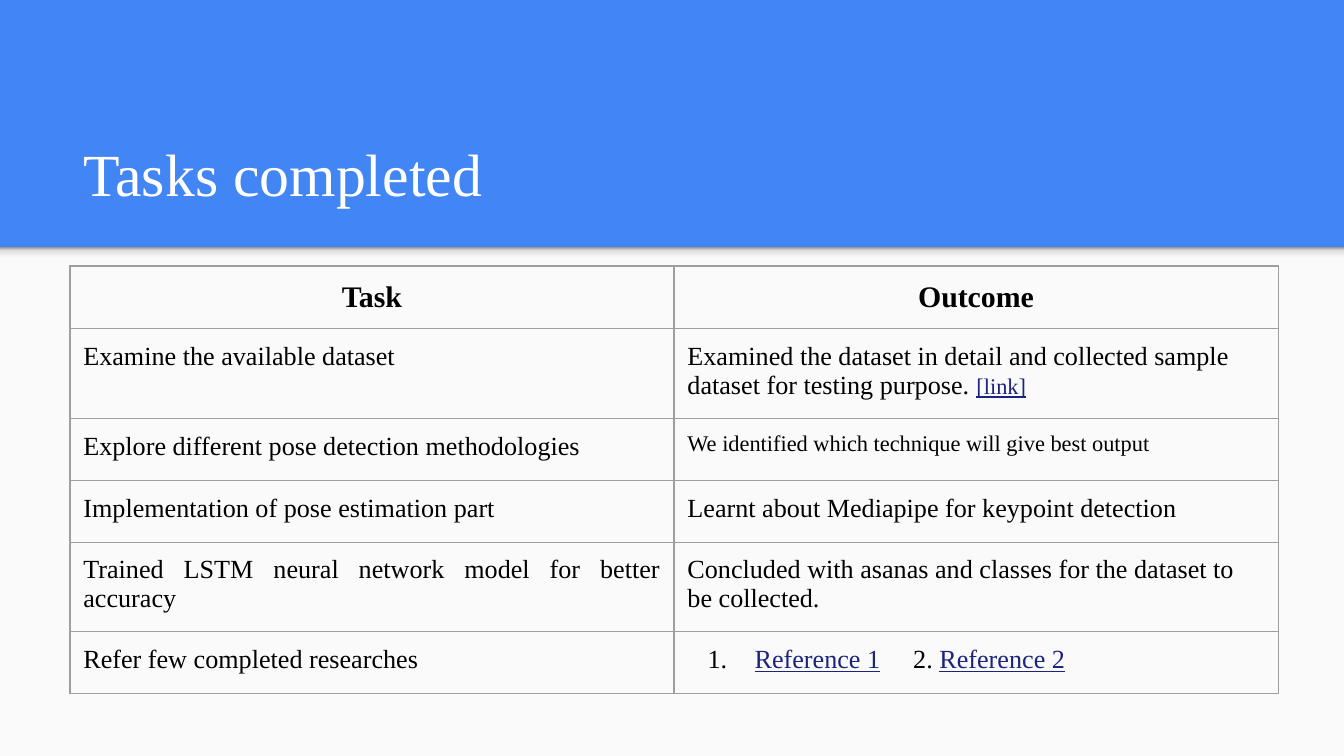
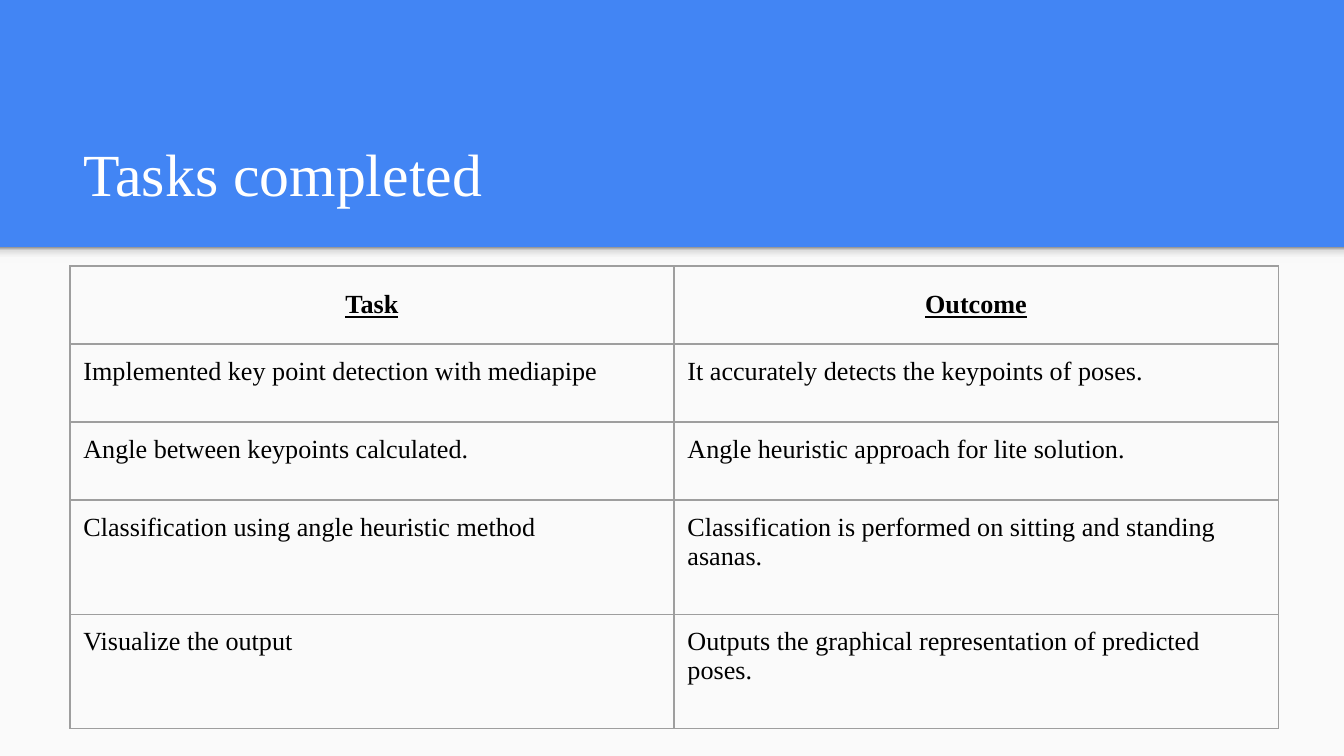
from dataclasses import dataclass

from lxml.etree import SubElement
from pptx import Presentation
from pptx.dml.color import RGBColor
from pptx.enum.shapes import MSO_SHAPE as SHAPE
from pptx.enum.text import MSO_ANCHOR as ANCHOR, PP_ALIGN as ALIGN
from pptx.oxml import parse_xml
from pptx.oxml.ns import nsdecls, qn
from pptx.util import Inches, Pt

UNIT = 0.1  # inches in one grid column or row
COLS, ROWS = 100, 56.25


@dataclass(frozen=True)
class Theme:
    font: str = "Times New Roman"
    band: str = "4285F4"
    panel: str = "FAFAFA"
    title: str = "FFFFFF"
    text: str = "000000"
    link: str = "1A237E"
    border: str = "9E9E9E"
    shade: tuple = ((0, "F9F9F9"), (36, "F9F9F9"), (80, "DEDEDE"), (100, "999999"))
    title_size: int = 32
    head_size: int = 16
    body_size: int = 14
    small_size: int = 12
    border_width: float = 0.75


@dataclass(frozen=True)
class Box:
    """A rectangle in grid columns and rows."""
    x: float
    y: float
    w: float
    h: float

    def inches(self):
        return [grid(v) for v in (self.x, self.y, self.w, self.h)]


@dataclass(frozen=True)
class Run:
    text: str
    size: int
    link: bool = False
    spacing: int = 0  # extra points after each character


T = Theme()
PANEL = Box(0, 18.4, COLS, ROWS - 18.4)
TITLE = Box(5.2, 8.1, 89.9, 8.4)
TABLE = Box(5.2, 19.8, 89.9, 31)
INSET = 1
ONE_LINE, TWO_LINES = 4.6, 6.3
LOW, TALL = 5.8, 8.5


def grid(n):
    return Inches(n * UNIT)


def rgb(value):
    return RGBColor.from_string(value)


def style(font, size, color, bold=False, underline=False):
    font.name, font.size = T.font, Pt(size)
    font.color.rgb = rgb(color)
    font.bold, font.underline = bold, underline


def set_margins(holder):
    holder.margin_left = holder.margin_right = grid(INSET)
    holder.margin_top = holder.margin_bottom = grid(INSET)


def add_rect(slide, box):
    sp = slide.shapes.add_shape(SHAPE.RECTANGLE, *box.inches())
    sp.shadow.inherit = False
    sp.line.fill.background()
    return sp


def add_panel(slide, box):
    """Light content area with a shaded strip along its top edge."""
    sp = add_rect(slide, box)
    sp.fill.solid()
    sp.fill.fore_color.rgb = rgb(T.panel)

    strip = add_rect(slide, Box(box.x, box.y, box.w, 1.2))
    strip.fill.gradient()
    strip.fill.gradient_angle = 90
    stops = strip.element.spPr.find(qn("a:gradFill")).find(qn("a:gsLst"))
    for stop in list(stops):
        stops.remove(stop)
    for percent, color in T.shade:
        stop = SubElement(stops, qn("a:gs"), pos=str(percent * 1000))
        SubElement(stop, qn("a:srgbClr"), val=color)


def add_title(slide, box, text):
    tf = slide.shapes.add_textbox(*box.inches()).text_frame
    tf.word_wrap = True
    tf.vertical_anchor = ANCHOR.BOTTOM
    set_margins(tf)
    p = tf.paragraphs[0]
    p.text = text
    style(p.font, T.title_size, T.title)


def add_borders(cell):
    tc_pr = cell._tc.get_or_add_tcPr()
    for i, side in enumerate(("lnL", "lnR", "lnT", "lnB")):
        tc_pr.insert(i, parse_xml(
            f'<a:{side} {nsdecls("a")} w="{Pt(T.border_width)}"><a:solidFill>'
            f'<a:srgbClr val="{T.border}"/></a:solidFill></a:{side}>'))


def number_paragraph(p):
    p_pr = p._p.get_or_add_pPr()
    p_pr.set("marL", str(grid(5)))
    p_pr.set("indent", str(grid(-3.5)))
    color = SubElement(p_pr, qn("a:buClr"))
    SubElement(color, qn("a:srgbClr"), val=T.text)
    SubElement(p_pr, qn("a:buFont"), typeface=T.font)
    SubElement(p_pr, qn("a:buAutoNum"), type="arabicPeriod")


def fill_cell(cell, content, numbered=False):
    """Write a string or a list of runs in body style."""
    p = cell.text_frame.paragraphs[0]
    if numbered:
        number_paragraph(p)
    runs = [Run(content, T.body_size)] if isinstance(content, str) else content
    for run in runs:
        r = p.add_run()
        r.text = run.text
        style(r.font, run.size, T.link if run.link else T.text, underline=run.link)
        if run.spacing:
            r._r.get_or_add_rPr().set("spc", str(run.spacing * 100))
    return p


def add_task_table(slide, box, rows, heights, head_size, head_underline):
    frame = slide.shapes.add_table(len(rows) + 1, 2, *box.inches())
    table = frame.table
    table.first_row = table.horz_banding = False
    for column in table.columns:
        column.width = grid(box.w / 2)
    for row, height in zip(table.rows, heights):
        row.height = grid(height)
    for cell in table.iter_cells():
        set_margins(cell)
        cell.fill.background()
        add_borders(cell)

    for i, heading in enumerate(("Task", "Outcome")):
        cell = table.cell(0, i)
        cell.vertical_anchor = ANCHOR.MIDDLE
        p = cell.text_frame.paragraphs[0]
        p.text = heading
        p.alignment = ALIGN.CENTER
        style(p.font, head_size, T.text, bold=True, underline=head_underline)
    for i, (task, outcome) in enumerate(rows, start=1):
        fill_cell(table.cell(i, 0), task).alignment = ALIGN.JUSTIFY
        fill_cell(table.cell(i, 1), outcome, numbered=outcome is REFERENCES)


def add_tasks_slide(prs, rows, heights, head_size, head_underline=False):
    slide = prs.slides.add_slide(prs.slide_layouts[6])
    slide.background.fill.solid()
    slide.background.fill.fore_color.rgb = rgb(T.band)
    add_panel(slide, PANEL)
    add_title(slide, TITLE, "Tasks completed")
    box = Box(TABLE.x, TABLE.y, TABLE.w, sum(heights))
    add_task_table(slide, box, rows, heights, head_size, head_underline)


REFERENCES = [
    Run("Reference 1", T.body_size, link=True),
    Run(" ", T.body_size, spacing=14),
    Run("2. ", T.body_size),
    Run("Reference 2", T.body_size, link=True),
]
RESEARCH_ROWS = [
    ("Examine the available dataset",
     [Run("Examined the dataset in detail and collected sample dataset for "
          "testing purpose. ", T.body_size),
      Run("[link]", T.small_size, link=True)]),
    ("Explore different pose detection methodologies",
     [Run("We identified which technique will give best output", T.small_size)]),
    ("Implementation of pose estimation part",
     "Learnt about Mediapipe for keypoint detection"),
    ("Trained LSTM neural network model for better accuracy",
     "Concluded with asanas and classes for the dataset to be collected."),
    ("Refer few completed researches", REFERENCES),
]
DETECTION_ROWS = [
    ("Implemented key point detection with mediapipe",
     "It accurately detects the keypoints of poses."),
    ("Angle between keypoints calculated.",
     "Angle heuristic approach for lite solution."),
    ("Classification using angle heuristic method",
     "Classification is performed on sitting and standing asanas."),
    ("Visualize the output",
     "Outputs the graphical representation of predicted poses."),
]


def main():
    prs = Presentation()
    prs.slide_width, prs.slide_height = grid(COLS), grid(ROWS)
    add_tasks_slide(prs, RESEARCH_ROWS,
                    [ONE_LINE, TWO_LINES, ONE_LINE, ONE_LINE, TWO_LINES, ONE_LINE],
                    T.head_size)
    add_tasks_slide(prs, DETECTION_ROWS, [LOW] * 3 + [TALL] * 2,
                    T.body_size, head_underline=True)
    prs.save("out.pptx")


if __name__ == "__main__":
    main()
